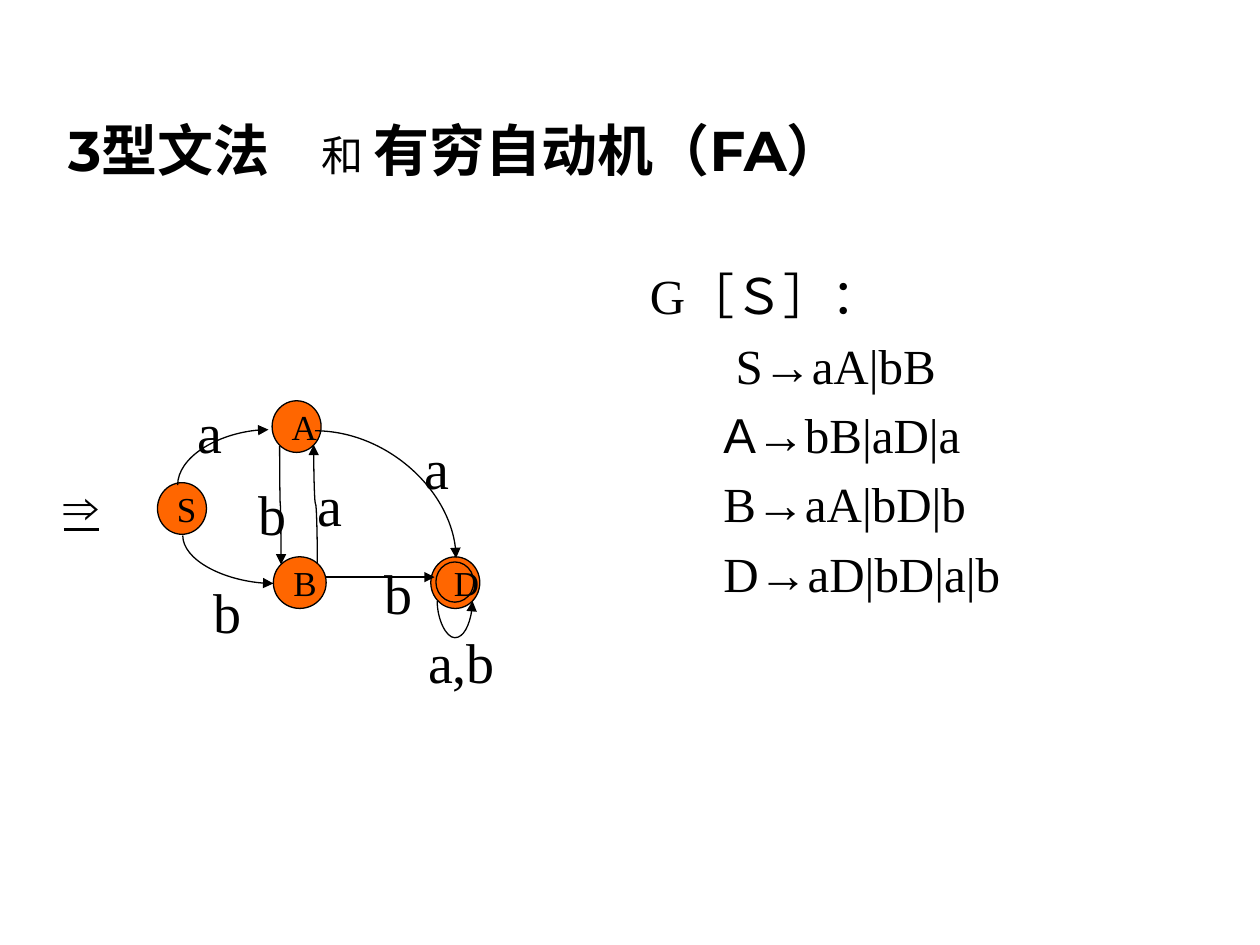
import pptx
import pptx.util
import pptx.dml.color
import pptx.enum.shapes
import pptx.enum.text
import pptx.oxml.ns
import lxml.etree

Pt = pptx.util.Pt
SERIF = "Times New Roman"
BLACK = "000000"
ORANGE = "FF6600"


def color(value):
    return pptx.dml.color.RGBColor.from_string(value)


def add_element(parent, tag, **attributes):
    element = lxml.etree.SubElement(parent, pptx.oxml.ns.qn(tag))
    for name, value in attributes.items():
        element.set(name, str(value))
    return element


def style(font, size, name=SERIF, bold=False):
    font.size = Pt(size)
    font.name = name
    font.bold = bold
    font.color.rgb = color(BLACK)


def write_mark(shape, text, size):
    frame = shape.text_frame
    frame.word_wrap = False
    frame.vertical_anchor = pptx.enum.text.MSO_ANCHOR.MIDDLE
    para = frame.paragraphs[0]
    para.text = text
    para.alignment = pptx.enum.text.PP_ALIGN.LEFT
    style(para.font, size)
    return para


def add_title(page, left, top, width, height):
    title = page.shapes.title
    title.left, title.top = Pt(left), Pt(top)
    title.width, title.height = Pt(width), Pt(height)
    frame = title.text_frame
    frame.auto_size = pptx.enum.text.MSO_AUTO_SIZE.NONE
    frame.vertical_anchor = pptx.enum.text.MSO_ANCHOR.BOTTOM
    para = frame.paragraphs[0]
    para.alignment = pptx.enum.text.PP_ALIGN.LEFT
    tabs = add_element(para._p.get_or_add_pPr(), "a:tabLst")
    add_element(tabs, "a:tab", pos=Pt(145), algn="l")
    style(para.font, 32, "Montserrat", True)
    for text, size, bold in [("3型文法\t", 32, True), ("和 ", 24, False),
                             ("有穷自动机（FA）", 32, True)]:
        span = para.add_run()
        span.text = text
        style(span.font, size, "Montserrat", bold)


def add_grammar(page, left, top, width, height):
    box = page.shapes.add_textbox(Pt(left), Pt(top), Pt(width), Pt(height))
    frame = box.text_frame
    frame.word_wrap = True
    lines = [
        (0, [("G［Ｓ］：", SERIF)]),
        (49, [("S→aA|bB", SERIF)]),
        (42, [("A", "Arial"), ("→bB|aD|a", SERIF)]),
        (42, [("B→aA|bD|b", SERIF)]),
        (42, [("D→aD|bD|a|b", SERIF)]),
    ]
    for number, (indent, spans) in enumerate(lines):
        para = frame.add_paragraph() if number else frame.paragraphs[0]
        para._p.get_or_add_pPr().set("marL", str(Pt(indent)))
        if number:
            para.space_before = Pt(6)
        style(para.font, 28)
        for text, font_name in spans:
            span = para.add_run()
            span.text = text
            span.font.name = font_name


def add_state(shapes, left, top, width, height, name=""):
    state = shapes.add_shape(pptx.enum.shapes.MSO_SHAPE.OVAL,
                             Pt(left), Pt(top), Pt(width), Pt(height))
    state.shadow.inherit = False
    state.fill.solid()
    state.fill.fore_color.rgb = color(ORANGE)
    state.line.color.rgb = color(BLACK)
    state.line.width = Pt(0.75)
    if name:
        write_mark(state, name, 20)


def add_arrow(shapes, start, end, preset, turn=0, flip=False, bend=None):
    width, height = abs(end[0] - start[0]), abs(end[1] - start[1])
    if turn:
        width, height = max(height, 0.12), width
    left = (start[0] + end[0] - width) / 2
    top = (start[1] + end[1] - height) / 2
    near, far = (left + width, left) if flip else (left, left + width)
    arrow = shapes.add_connector(pptx.enum.shapes.MSO_CONNECTOR.CURVE,
                                 Pt(near), Pt(top), Pt(far), Pt(top + height))
    arrow.line.color.rgb = color(BLACK)
    arrow.line.width = Pt(0.75)
    add_element(arrow.line._get_or_add_ln(), "a:tailEnd", type="triangle")
    properties = arrow._element.spPr
    add_element(properties, "a:effectLst")
    if turn:
        properties.find(pptx.oxml.ns.qn("a:xfrm")).set("rot", str(turn * 60000))
    geometry = properties.find(pptx.oxml.ns.qn("a:prstGeom"))
    geometry.set("prst", preset)
    if bend is not None:
        guides = geometry.find(pptx.oxml.ns.qn("a:avLst"))
        add_element(guides, "a:gd", name="adj1", fmla=f"val {bend}")


def add_label(shapes, left, top, width, height, text, size=32):
    box = shapes.add_textbox(Pt(left), Pt(top), Pt(width), Pt(height))
    box.text_frame.auto_size = pptx.enum.text.MSO_AUTO_SIZE.SHAPE_TO_FIT_TEXT
    return write_mark(box, text, size)


def add_automaton(page, left, top):
    shapes = page.shapes
    final = shapes.add_group_shape().shapes
    add_state(final, left + 216.2, top + 95.2, 28, 29.5)
    add_state(final, left + 219.1, top + 98.1, 21.6, 23, "D")
    for name, x, y, width in [("B", 126.2, 95.2, 30.2), ("A", 125.5, 6, 28),
                              ("S", 60, 52.8, 28)]:
        add_state(shapes, left + x, top + y, width, 29.5, name)

    quarter, wave = "curvedConnector2", "curvedConnector3"
    arrows = [
        ((71.5, 54.2), (123.4, 22.5), quarter, 270),
        ((74.4, 83), (126.2, 110.4), quarter, 270, True),
        ((151.4, 98.8), (149.3, 31.2), wave, 90, True),
        ((129.8, 31.9), (130.6, 99.6), wave, 270, True),
        ((155.8, 106.8), (218.4, 106.8), "line"),
        ((219.8, 120.4), (240, 120.4), wave, 270, True, 18600000),
        ((150, 23.2), (230.6, 96), quarter),
    ]
    for start, end, *shape in arrows:
        add_arrow(shapes, (left + start[0], top + start[1]),
                  (left + end[0], top + end[1]), *shape)

    labels = [("a", 75.8, 0.2, 29), ("a", 144.2, 42, 29), ("a", 205.4, 21, 29),
              ("b", 85.2, 103.2, 30), ("b", 110.4, 47, 30),
              ("b", 182.4, 92.4, 30), ("a,b", 207.6, 132, 52.5)]
    for text, x, y, width in labels:
        add_label(shapes, left + x, top + y, width, 46, text)
    implies = add_label(shapes, left - 0.5, top + 44.8, 42, 41, "⇒", 28)
    implies.font.bold = True
    implies.font.underline = True


def main():
    deck = pptx.Presentation()
    deck.slide_width, deck.slide_height = Pt(720), Pt(540)
    page = deck.slides.add_slide(deck.slide_layouts[5])
    add_title(page, 31.7, 18, 612, 90)
    add_grammar(page, 364.3, 148.3, 316, 328)
    add_automaton(page, 30, 223)
    deck.save("out.pptx")


if __name__ == "__main__":
    main()
